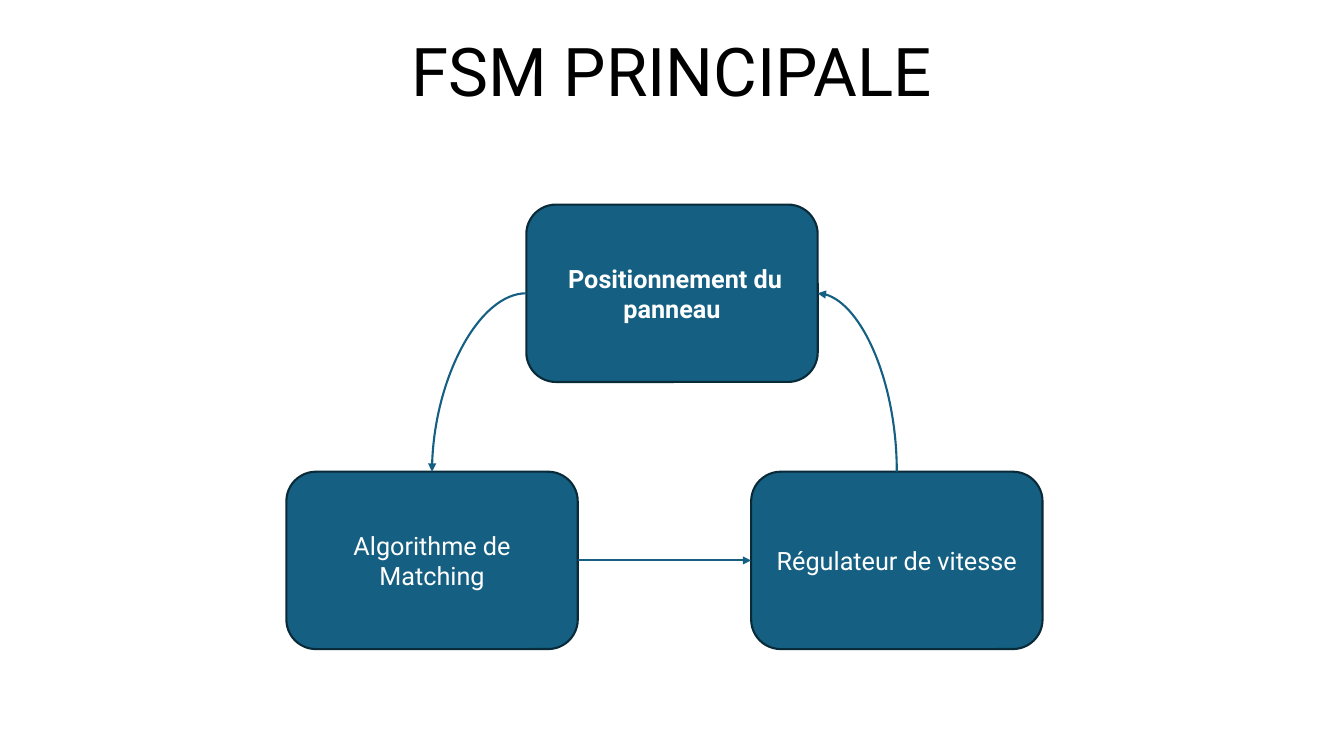
from lxml.etree import SubElement
from pptx import Presentation
from pptx.dml.color import RGBColor
from pptx.enum.shapes import MSO_CONNECTOR, MSO_SHAPE
from pptx.enum.text import MSO_ANCHOR, MSO_AUTO_SIZE, PP_ALIGN
from pptx.oxml.ns import qn
from pptx.util import Inches, Pt

BLUE = RGBColor(0x15, 0x60, 0x82)
NAVY = RGBColor(0x09, 0x2A, 0x39)
WHITE = RGBColor(0xFF, 0xFF, 0xFF)
BLACK = RGBColor(0x00, 0x00, 0x00)
FONT = "Roboto"
STATE_WIDTH, STATE_HEIGHT = 2.89, 1.76
TOP, LEFT, RIGHT = 0, 1, 3


def write_text(shape, text, size=18, color=WHITE, bold=False):
    frame = shape.text_frame
    frame.word_wrap = True
    frame.auto_size = MSO_AUTO_SIZE.NONE
    frame.vertical_anchor = MSO_ANCHOR.MIDDLE
    para = frame.paragraphs[0]
    para.alignment = PP_ALIGN.CENTER
    span = para.add_run()
    span.text = text
    span.font.name = FONT
    span.font.size = Pt(size)
    span.font.bold = bold
    span.font.color.rgb = color


def place_title(page, text, left, top, width, height):
    title = page.shapes.title
    title.left, title.top = Inches(left), Inches(top)
    title.width, title.height = Inches(width), Inches(height)
    write_text(title, text, size=48, color=BLACK)


def add_state(page, text, left, top, bold=False):
    state = page.shapes.add_shape(
        MSO_SHAPE.ROUNDED_RECTANGLE, Inches(left), Inches(top),
        Inches(STATE_WIDTH), Inches(STATE_HEIGHT))
    state.shadow.inherit = False
    state.fill.solid()
    state.fill.fore_color.rgb = BLUE
    state.line.color.rgb = NAVY
    state.line.width = Pt(1.5)
    write_text(state, text, bold=bold)
    return state


def add_transition(page, start, start_side, end, end_side,
                   curved=False, arrow="tailEnd"):
    """Join two states; arrow is tailEnd (at the end) or headEnd (at the start)."""
    kind = MSO_CONNECTOR.CURVE if curved else MSO_CONNECTOR.STRAIGHT
    connector = page.shapes.add_connector(kind, 0, 0, 0, 0)
    connector.begin_connect(start, start_side)
    connector.end_connect(end, end_side)
    connector.line.color.rgb = BLUE
    connector.line.width = Pt(1.5)
    properties = connector._element.spPr
    if curved:  # a quarter turn instead of an S
        properties.find(qn("a:prstGeom")).set("prst", "curvedConnector2")
    SubElement(properties.find(qn("a:ln")), qn("a:" + arrow), type="triangle")
    SubElement(properties, qn("a:effectLst"))


def draw_state_machine(page, left, top, width, height):
    bottom_row = top + height - STATE_HEIGHT
    positioning = add_state(page, " Positionnement du panneau",
                            left + 2.38, top, bold=True)
    matching = add_state(page, "Algorithme de Matching", left, bottom_row)
    regulator = add_state(page, "Régulateur de vitesse",
                          left + width - STATE_WIDTH, bottom_row)
    add_transition(page, positioning, LEFT, matching, TOP, curved=True)
    add_transition(page, positioning, RIGHT, regulator, TOP,
                   curved=True, arrow="headEnd")
    add_transition(page, matching, RIGHT, regulator, LEFT)


def main():
    deck = Presentation()
    deck.slide_width, deck.slide_height = Inches(13.33), Inches(7.5)
    page = deck.slides.add_slide(deck.slide_layouts[5])
    place_title(page, "FSM PRINCIPALE", 1.17, 0.24, 10.99, 0.91)
    draw_state_machine(page, 2.84, 2.03, 7.5, 4.41)
    deck.save("out.pptx")


if __name__ == "__main__":
    main()
